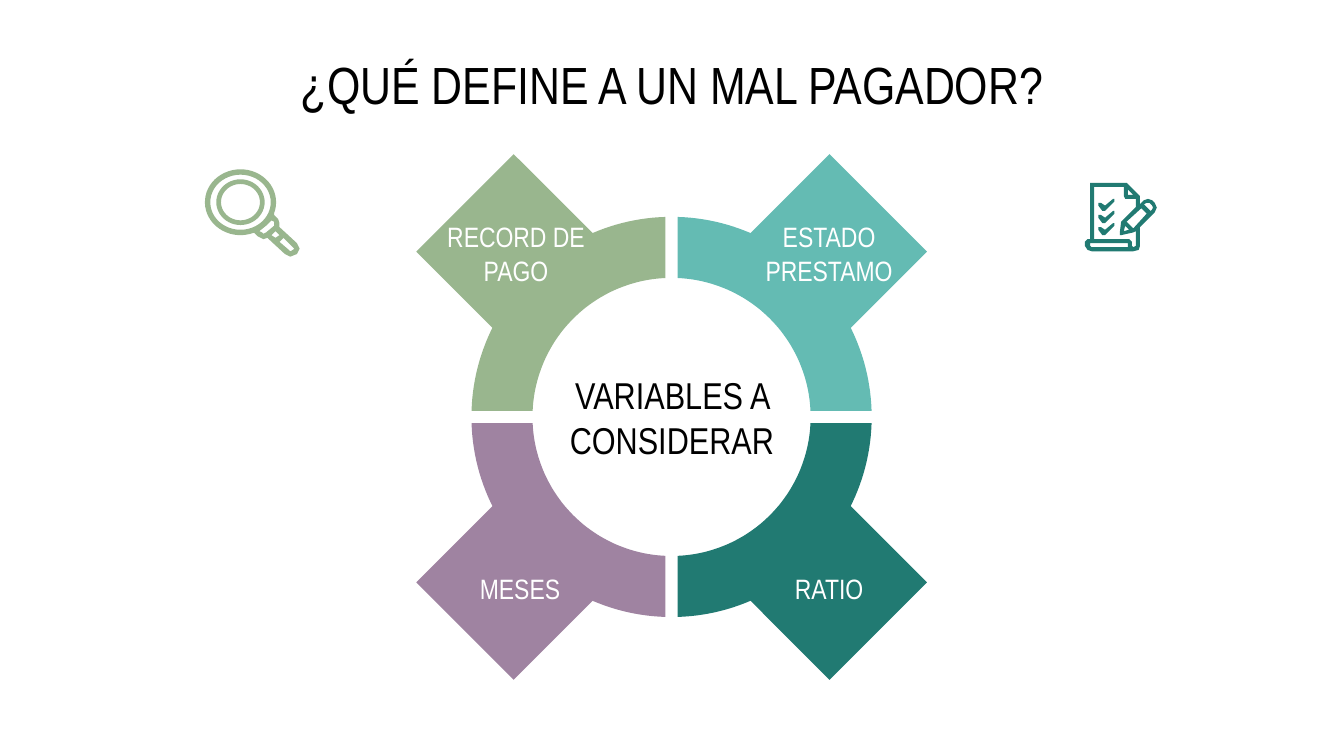
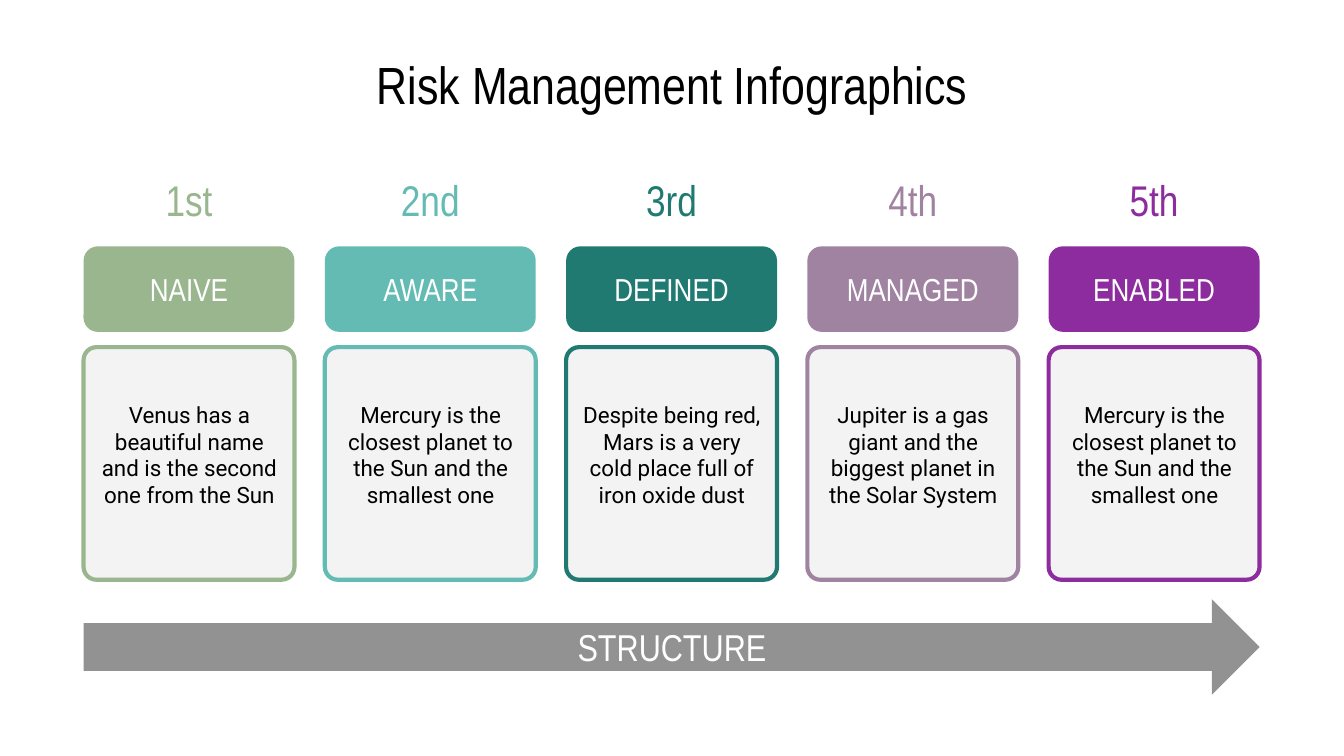
"""Build two slides: the variables behind a bad payer and a five-step risk ladder."""
from math import asin, cos, pi, radians, sin

from pptx import Presentation
from pptx.dml.color import RGBColor
from pptx.enum.shapes import MSO_SHAPE
from pptx.enum.text import MSO_ANCHOR, MSO_AUTO_SIZE, PP_ALIGN
from pptx.util import Pt

DIAMOND, ROUNDED, ARROW = MSO_SHAPE.DIAMOND, MSO_SHAPE.ROUNDED_RECTANGLE, MSO_SHAPE.RIGHT_ARROW
MIDDLE, TOP, CENTER, FIXED = MSO_ANCHOR.MIDDLE, MSO_ANCHOR.TOP, PP_ALIGN.CENTER, MSO_AUTO_SIZE.NONE

BLACK = RGBColor(0x00, 0x00, 0x00)
WHITE = RGBColor(0xFF, 0xFF, 0xFF)
PALE = RGBColor(0xF3, 0xF3, 0xF3)
GRAY = RGBColor(0x92, 0x92, 0x92)
GREEN = RGBColor(0x99, 0xB6, 0x8E)
AQUA = RGBColor(0x64, 0xBB, 0xB3)
TEAL = RGBColor(0x21, 0x7A, 0x72)
MAUVE = RGBColor(0x9F, 0x83, 0xA1)
PURPLE = RGBColor(0x8C, 0x2C, 0x9E)
HEADING, READING = "Arial Narrow", "Roboto"

PAYER_TITLE = "¿QUÉ DEFINE A UN MAL PAGADOR?"
PAYER_CENTER = "VARIABLES A CONSIDERAR"
VARIABLES = [
    ("RECORD DE PAGO", GREEN, -1, -1, (229.7, 120.2)),
    ("ESTADO PRESTAMO", AQUA, 1, -1, (397.4, 120.2)),
    ("MESES", MAUVE, -1, 1, (231.8, 299.5)),
    ("RATIO", TEAL, 1, 1, (397.4, 299.5)),
]
RING_X, RING_Y = 359.8, 223.4
OUTER, INNER, HALF_GAP = 107.2, 74.5, 3.3
DIAMOND_SIZE, DIAMOND_DX, DIAMOND_DY = 104.4, 84.6, 88.6

RISK_TITLE = "Risk Management Infographics"
MERCURY = "Mercury is the closest planet to the Sun and the smallest one"
LEVELS = [
    ("1st", "NAIVE", GREEN, "Venus has a beautiful name and is the second one from the Sun"),
    ("2nd", "AWARE", AQUA, MERCURY),
    ("3rd", "DEFINED", TEAL, "Despite being red, Mars is a very cold place full of iron oxide dust"),
    ("4th", "MANAGED", MAUVE, "Jupiter is a gas giant and the biggest planet in the Solar System"),
    ("5th", "ENABLED", PURPLE, MERCURY),
]
STRUCTURE = "STRUCTURE"
LEFT, COLUMN, PITCH = 44.8, 113, 129.25

ICON_UNIT = 0.72
LENS = (29, 24.5)
HANDLE = [(54, 34), (57, 37), (58, 40), (58, 43), (71, 55), (73, 59), (71, 63), (66, 65),
          (62, 63), (49, 51), (46, 52), (42, 50), (39, 47)]
HANDLE_HOLES = [
    [(52, 38), (48, 42), (43, 46), (45, 47), (46, 48), (48, 47), (54, 42), (54, 39)],
    [(55, 46), (52, 49), (55, 51), (58, 49)],
    [(61, 51), (58, 54), (65, 60), (66, 61), (68, 60), (69, 59), (68, 58)],
]
PAPER = [
    [(4, 0), (4, 42), (2, 42), (0, 44), (0, 47), (2, 50), (5, 51), (36, 51), (40, 50),
     (41, 47), (41, 33), (52, 22), (53.5, 18.5), (52, 15), (50, 13), (47, 12), (44, 13),
     (41, 16), (41, 10), (31, 0)],
    [(32, 5), (36, 9), (32, 9)],
    [(47, 15), (48, 15), (50, 17), (50.7, 18.5), (50, 20), (49, 21), (44, 16), (46, 15)],
    [(42, 19), (46, 23), (36, 34), (31, 29)],
    [(30, 32), (33, 35), (29, 36)],
    [(32, 45), (32, 48), (5, 48), (4, 47), (4, 45)],
    [(29, 3), (29, 10), (30, 12), (38, 12), (38, 18), (28, 28), (27, 29), (26, 37),
     (26, 39), (27, 39), (36, 37), (38, 36), (38, 47), (36, 48), (35, 47), (35, 44),
     (33, 42), (7, 42), (7, 3)],
]
TICK = [(21, 12), (15, 17), (12, 15), (10, 15), (10, 17), (13, 21), (15, 21), (22, 14), (22, 12)]
TICK_STEP = 9


def set_values(target, **values):
    for name, value in values.items():
        setattr(target, name, value)


def write(shape, text, size, color, font=HEADING, anchor=MIDDLE, inset=(2.9, 1.4)):
    frame = shape.text_frame
    across, down = map(Pt, inset)
    set_values(frame, word_wrap=True, auto_size=FIXED, vertical_anchor=anchor,
               margin_left=across, margin_right=across, margin_top=down, margin_bottom=down)
    para = frame.paragraphs[0]
    para.alignment = CENTER
    span = para.add_run()
    span.text = text
    set_values(span.font, size=Pt(size), name=font)
    span.font.color.rgb = color


def add_text(page, area, *content, **style):
    write(page.shapes.add_textbox(*map(Pt, area)), *content, **style)


def paint(shape, fill, line=None):
    shape.shadow.inherit = False
    shape.fill.solid()
    shape.fill.fore_color.rgb = fill
    if line is None:
        shape.line.fill.background()
    else:
        shape.line.color.rgb = line
        shape.line.width = Pt(2.25)


def add_block(page, kind, area, fill, line=None, corner=None):
    block = page.shapes.add_shape(kind, *map(Pt, area))
    if corner is not None:
        block.adjustments[0] = corner
    paint(block, fill, line)


def add_outline(page, contours, fill, origin=(0, 0), unit=1):
    placed = [[(Pt(origin[0] + x * unit), Pt(origin[1] + y * unit)) for x, y in contour]
              for contour in contours]
    builder = page.shapes.build_freeform(*placed[0][0], scale=1.0)
    for number, contour in enumerate(placed):
        if number:
            builder.move_to(*contour[0])
        builder.add_line_segments(contour[1:], close=True)
    paint(builder.convert_to_shape(), fill)


def arc(center, radii, start, end, steps=48):
    angles = [start + (end - start) * step / steps for step in range(steps + 1)]
    return [(center[0] + radii[0] * cos(a), center[1] + radii[1] * sin(a)) for a in angles]


def quarter(side_x, side_y):
    points = []
    for radius, turn in ((OUTER, 1), (INNER, -1)):
        trim = asin(HALF_GAP / radius)
        points += arc((RING_X, RING_Y), (radius * side_x, radius * side_y),
                      trim, pi / 2 - trim)[::turn]
    return points


def lens(across, down):
    return arc(LENS, (across, down), 0, 2 * pi)


def add_page(deck, title):
    page = deck.slides.add_slide(deck.slide_layouts[5])
    heading = page.shapes.title
    set_values(heading, left=Pt(36), top=Pt(32.4), width=Pt(648), height=Pt(25.2))
    write(heading, title, 28, BLACK, inset=(7.2, 7.2))
    return page


def add_payer_page(deck):
    page = add_page(deck, PAYER_TITLE)
    for label, color, side_x, side_y, place in VARIABLES:
        add_outline(page, [quarter(side_x, side_y)], color)
        add_block(page, DIAMOND, (RING_X + side_x * DIAMOND_DX - DIAMOND_SIZE / 2,
                                  RING_Y + side_y * DIAMOND_DY - DIAMOND_SIZE / 2,
                                  DIAMOND_SIZE, DIAMOND_SIZE), color)
        add_text(page, (*place, 93.6, 31), label, 15, WHITE)
    add_text(page, (298.1, 193, 123.8, 61.2), PAYER_CENTER, 20, BLACK)

    rim = arc(LENS, (26.5, 24.5), radians(68), radians(380))
    magnifier = [[rim + HANDLE, lens(22.5, 20.5), *HANDLE_HOLES], [lens(18, 17), lens(14.5, 13.5)]]
    for contours in magnifier:
        add_outline(page, contours, GREEN, (108, 90.7), ICON_UNIT)
    ticks = [[(x, y + row * TICK_STEP) for x, y in TICK] for row in range(3)]
    for contours in [PAPER, *([tick] for tick in ticks)]:
        add_outline(page, contours, TEAL, (581.2, 97.9), ICON_UNIT)


def add_risk_page(deck):
    page = add_page(deck, RISK_TITLE)
    for number, (rank, name, color, detail) in enumerate(LEVELS):
        left = LEFT + number * PITCH
        add_text(page, (left, 97.9, COLUMN, 17.3), rank, 23, color)
        add_block(page, ROUNDED, (left, 132, COLUMN, 45.8), color, corner=0.167)
        add_text(page, (left, 146.2, COLUMN, 17.3), name, 17, WHITE)
        add_block(page, ROUNDED, (left, 186, COLUMN, 124.6), PALE, color, 0.061)
        add_text(page, (left + 5.6, 213.3, 102.2, 82.8), detail, 12, BLACK,
                 font=READING, anchor=TOP)
    add_block(page, ARROW, (LEFT, 321.1, 4 * PITCH + COLUMN, 51), GRAY)
    add_text(page, (306.4, 337.9, 107.3, 17.3), STRUCTURE, 20, WHITE)


def main():
    deck = Presentation()
    set_values(deck, slide_width=Pt(720), slide_height=Pt(405))
    add_payer_page(deck)
    add_risk_page(deck)
    deck.save("out.pptx")


if __name__ == "__main__":
    main()
